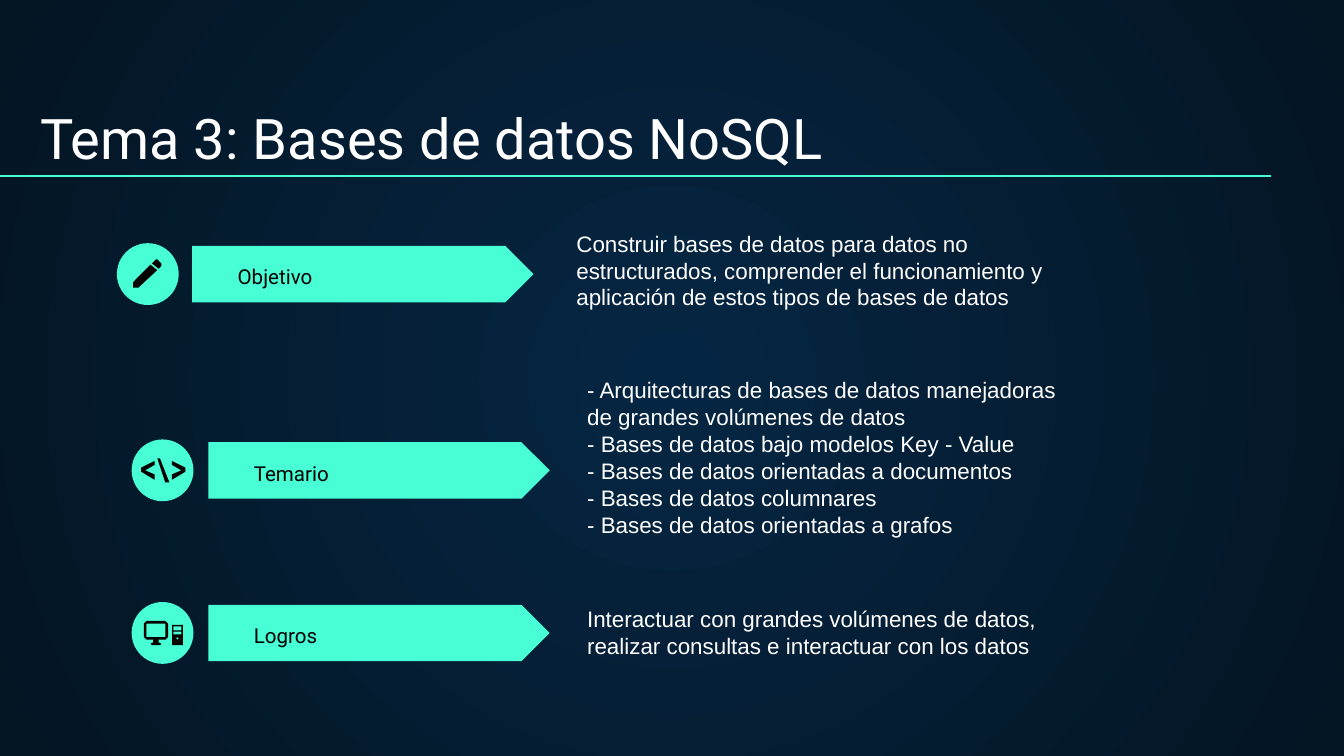
"""Builds the overview slide of topic 3: goal, contents and achievements."""
from dataclasses import dataclass

from lxml import etree
from pptx import Presentation
from pptx.dml.color import RGBColor
from pptx.enum import shapes, text
from pptx.oxml import ns
from pptx.util import Inches, Pt


@dataclass(frozen=True)
class Theme:
    accent: RGBColor = RGBColor.from_string("48FFD5")
    light: RGBColor = RGBColor.from_string("FFFFFF")
    dark: RGBColor = RGBColor.from_string("000000")
    glow: RGBColor = RGBColor.from_string("052643")
    edge: RGBColor = RGBColor.from_string("041523")
    heading_font: str = "Roboto"
    body_font: str = "Arial"
    title_size: int = 30
    label_size: int = 11
    body_size: int = 12


theme = Theme()


def write(shape, lines, font_name, size, color, anchor):
    frame = shape.text_frame
    frame.word_wrap = True
    frame.auto_size = text.MSO_AUTO_SIZE.NONE
    frame.vertical_anchor = anchor
    frame.margin_left = frame.margin_right = Inches(0.1)
    frame.margin_top = frame.margin_bottom = Inches(0.1)
    for index, line in enumerate(lines):
        paragraph = frame.add_paragraph() if index else frame.paragraphs[0]
        paragraph.alignment = text.PP_ALIGN.LEFT
        run = paragraph.add_run()
        run.text = line
        run.font.name = font_name
        run.font.size = Pt(size)
        run.font.color.rgb = color


def paint(shape, color):
    shape.shadow.inherit = False
    shape.fill.solid()
    shape.fill.fore_color.rgb = color
    shape.line.fill.background()


presentation = Presentation()
presentation.slide_width = Inches(10)
presentation.slide_height = Inches(10) * 9 // 16
slide = presentation.slides.add_slide(presentation.slide_layouts[5])

background = slide.background.fill
background.gradient()
for stop, color, position in zip(background.gradient_stops, (theme.glow, theme.edge), (0, 1)):
    stop.color.rgb = color
    stop.position = position
gradient = slide.element.find(".//" + ns.qn("a:gradFill"))
gradient.remove(gradient.find(ns.qn("a:lin")))
radial = etree.SubElement(gradient, ns.qn("a:path"), {"path": "circle"})
etree.SubElement(radial, ns.qn("a:fillToRect"), dict.fromkeys("ltrb", "50000"))

title = slide.shapes.title
title.left, title.top = Inches(0.2), Inches(0.71)
title.width, title.height = Inches(9.17), Inches(0.66)
write(title, ["Tema 3: Bases de datos NoSQL"], theme.heading_font, theme.title_size,
      theme.light, text.MSO_ANCHOR.BOTTOM)

rule = slide.shapes.add_connector(
    shapes.MSO_CONNECTOR.STRAIGHT, 0, Inches(1.31), Inches(9.46), Inches(1.31))
rule.line.color.rgb = theme.accent
rule.line.width = Pt(0.75)
etree.SubElement(rule.element.spPr, ns.qn("a:effectLst"))

rows = [
    ("Objetivo", 2.04, 0.87, 1.43, 4.19, 1.61, [
        "Construir bases de datos para datos no estructurados, comprender el "
        "funcionamiento y aplicación de estos tipos de bases de datos"]),
    ("Temario", 3.5, 0.98, 1.55, 4.27, 2.7, [
        "- Arquitecturas de bases de datos manejadoras de grandes volúmenes de datos",
        "- Bases de datos bajo modelos Key - Value",
        "- Bases de datos orientadas a documentos",
        "- Bases de datos columnares",
        "- Bases de datos orientadas a grafos"]),
    ("Logros", 4.71, 0.98, 1.55, 4.27, 4.4, [
        "Interactuar con grandes volúmenes de datos, realizar consultas e "
        "interactuar con los datos"]),
]
for label, middle, circle_left, arrow_left, body_left, body_top, lines in rows:
    arrow = slide.shapes.add_shape(
        shapes.MSO_SHAPE.PENTAGON, Inches(arrow_left), Inches(middle - 0.21),
        Inches(2.54), Inches(0.42))
    paint(arrow, theme.accent)
    circle = slide.shapes.add_shape(
        shapes.MSO_SHAPE.OVAL, Inches(circle_left), Inches(middle - 0.23),
        Inches(0.46), Inches(0.46))
    paint(circle, theme.accent)
    caption = slide.shapes.add_textbox(
        Inches(arrow_left + 0.24), Inches(middle), Inches(2.27), Inches(0.21))
    write(caption, [label], theme.heading_font, theme.label_size, theme.dark,
          text.MSO_ANCHOR.BOTTOM)
    body = slide.shapes.add_textbox(
        Inches(body_left), Inches(body_top), Inches(3.78), Inches(0.59))
    write(body, lines, theme.body_font, theme.body_size, theme.light, text.MSO_ANCHOR.TOP)

pencil = [
    [(1.16, 1.93), (1.13, 1.96), (1.18, 2), (1.2, 1.98), (1.2, 1.96), (1.17, 1.93)],
    [(1.12, 1.97), (0.99, 2.1), (0.99, 2.14), (1.03, 2.14), (1.17, 2.01)],
]
left_bracket = [(1.15, 3.57), (1.05, 3.51), (1.05, 3.48), (1.15, 3.43),
                (1.15, 3.46), (1.08, 3.5), (1.15, 3.53)]
right_bracket = [(2.43 - x, y) for x, y in left_bracket]
backslash = [(1.23, 3.59), (1.17, 3.41), (1.19, 3.41), (1.26, 3.59)]
monitor = [
    [(1.09, 4.62), (1.07, 4.64), (1.07, 4.74), (1.09, 4.76), (1.14, 4.76), (1.14, 4.78),
     (1.12, 4.79), (1.13, 4.8), (1.19, 4.8), (1.2, 4.79), (1.18, 4.78), (1.18, 4.76),
     (1.23, 4.76), (1.25, 4.74), (1.25, 4.64), (1.23, 4.62)],
    [(1.23, 4.64), (1.23, 4.74), (1.09, 4.74), (1.09, 4.64)],
]
tower = [
    [(1.28, 4.65), (1.28, 4.8), (1.36, 4.8), (1.36, 4.65)],
    [(1.35, 4.66), (1.35, 4.69), (1.29, 4.69), (1.29, 4.66)],
    [(1.35, 4.7), (1.35, 4.72), (1.29, 4.72), (1.29, 4.7)],
    [(1.32, 4.74), (1.33, 4.75), (1.32, 4.76), (1.31, 4.75)],
]
for outlines in (pencil, [left_bracket], [backslash], [right_bracket], monitor, tower):
    start, *rest = outlines[0]
    builder = slide.shapes.build_freeform(Inches(start[0]), Inches(start[1]))
    builder.add_line_segments([(Inches(x), Inches(y)) for x, y in rest])
    for start, *rest in outlines[1:]:
        builder.move_to(Inches(start[0]), Inches(start[1]))
        builder.add_line_segments([(Inches(x), Inches(y)) for x, y in rest])
    paint(builder.convert_to_shape(), theme.dark)

presentation.save("out.pptx")
